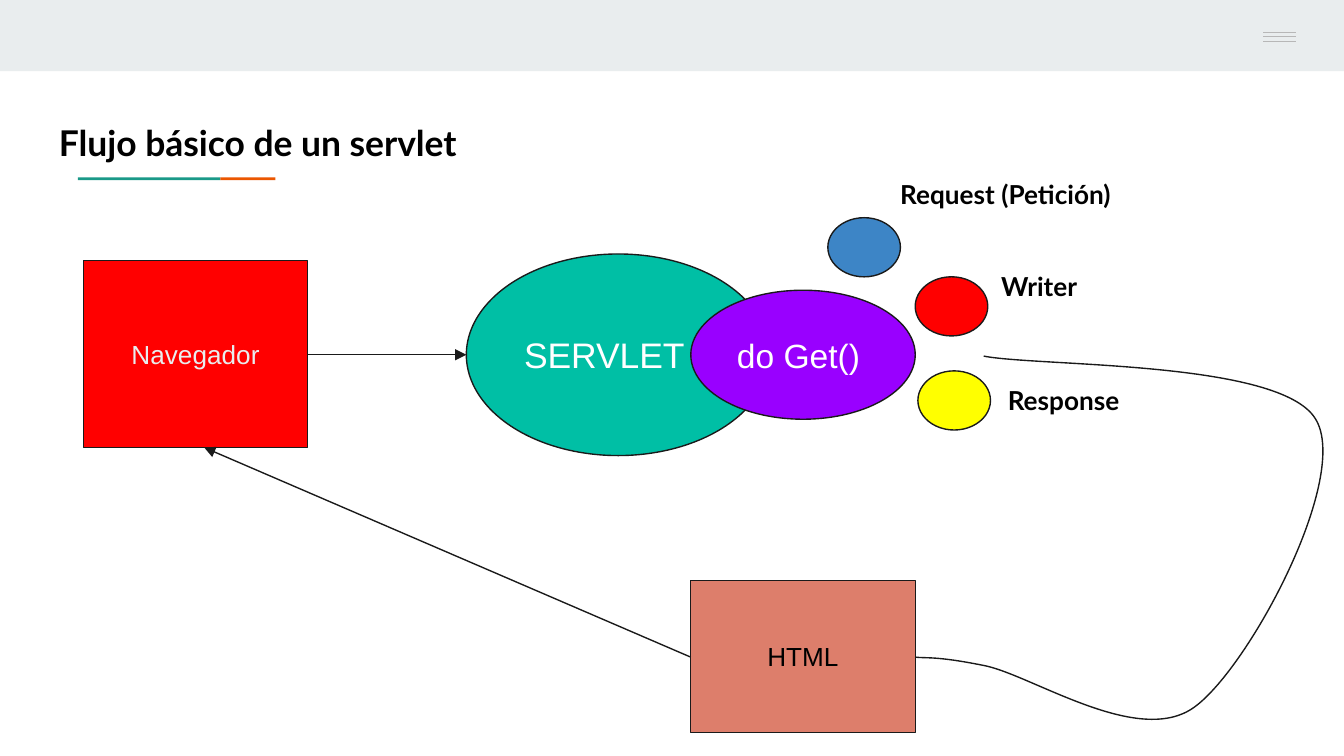
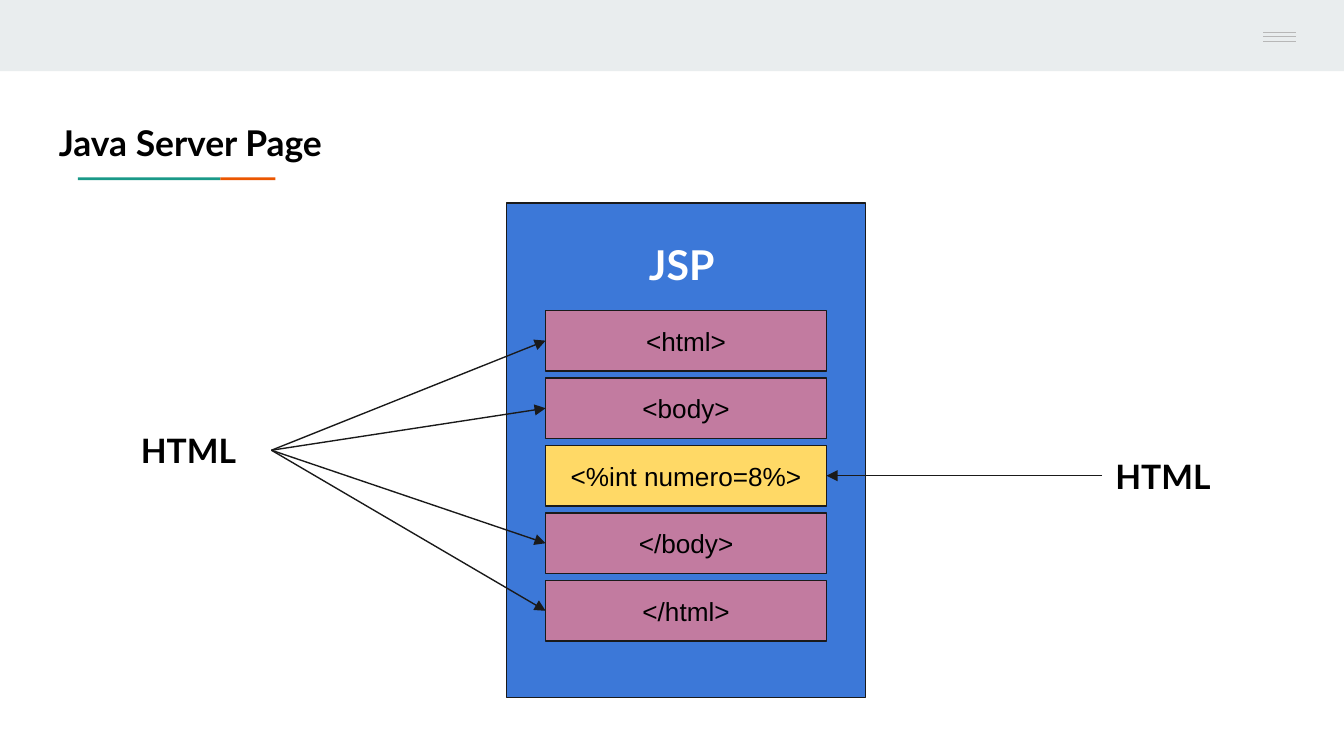
from dataclasses import dataclass

from lxml import etree
from pptx import Presentation
from pptx.dml.color import RGBColor
from pptx.enum.shapes import MSO_CONNECTOR, MSO_SHAPE
from pptx.enum.text import MSO_ANCHOR, MSO_AUTO_SIZE, PP_ALIGN
from pptx.oxml.ns import qn
from pptx.util import Inches, Pt

RECTANGLE = MSO_SHAPE.RECTANGLE
OVAL = MSO_SHAPE.OVAL
STRAIGHT = MSO_CONNECTOR.STRAIGHT
LEFT = PP_ALIGN.LEFT
CENTER = PP_ALIGN.CENTER
TOP = MSO_ANCHOR.TOP
MIDDLE = MSO_ANCHOR.MIDDLE
GROW = MSO_AUTO_SIZE.SHAPE_TO_FIT_TEXT


@dataclass(frozen=True)
class Theme:
    heading_font: str = "Lato"
    body_font: str = "Arial"
    title_size: int = 19
    panel_size: int = 22
    large_size: int = 18
    body_size: int = 14
    line_width: float = 0.75
    inset: float = 0.1
    black: str = "000000"
    white: str = "FFFFFF"
    outline: str = "1A1A1A"
    band: str = "E9EDEE"
    menu: str = "B7B7B7"
    teal: str = "1A9988"
    orange: str = "EB5600"
    red: str = "FF0000"
    green: str = "00BFA5"
    purple: str = "9900FF"
    salmon: str = "DD7E6B"
    yellow: str = "FFFF00"
    sky: str = "3D85C6"
    blue: str = "3C78D8"
    pink: str = "C27BA0"
    amber: str = "FFD966"


THEME = Theme()


def write_text(shape, text, *, size, font, color, bold=False, align=LEFT, anchor=TOP):
    frame = shape.text_frame
    frame.word_wrap = True
    frame.vertical_anchor = anchor
    frame.margin_left = frame.margin_right = Inches(THEME.inset)
    frame.margin_top = frame.margin_bottom = Inches(THEME.inset)
    paragraph = frame.paragraphs[0]
    paragraph.alignment = align
    run = paragraph.add_run()
    run.text = text
    run.font.name = font
    run.font.size = Pt(size)
    run.font.bold = bold
    run.font.color.rgb = RGBColor.from_string(color)


class Deck:
    """Holds the theme and the slide being drawn."""

    def __init__(self, theme):
        self.theme = theme
        self.presentation = Presentation()
        self.presentation.slide_width = Inches(10)
        self.presentation.slide_height = Inches(10 * 9 / 16)
        self.slide = None

    def new_slide(self, title, title_width):
        theme = self.theme
        layout = self.presentation.slide_layouts[6]
        self.slide = self.presentation.slides.add_slide(layout)
        self.shape((0, 0, 10, 0.53), theme.band, line=None)
        self.shape((9.06, 0, 0.94, 0.5), theme.band, line=None)
        self.shape((0.58, 1.32, 1.06, 0.02), theme.teal, line=None)
        self.shape((1.64, 1.32, 0.41, 0.02), theme.orange, line=None)
        for y in (0.24, 0.27, 0.31):
            self.line((9.4, y), (9.64, y), color=theme.menu, arrow=False)
        self.label(title, (0.34, 0.8, title_width, 0.52), size=theme.title_size)

    def shape(self, box, fill, kind=RECTANGLE, line=THEME.outline, text=None, **text_format):
        shape = self.slide.shapes.add_shape(kind, *map(Inches, box))
        shape.shadow.inherit = False
        shape.fill.solid()
        shape.fill.fore_color.rgb = RGBColor.from_string(fill)
        if line:
            self.outline(shape, line)
        else:
            shape.line.fill.background()
        if text:
            settings = {"size": self.theme.body_size, "font": self.theme.body_font,
                        "color": self.theme.black, "align": CENTER, "anchor": MIDDLE}
            write_text(shape, text, **(settings | text_format))

    def label(self, text, box, size=THEME.body_size, color=THEME.black):
        text_box = self.slide.shapes.add_textbox(*map(Inches, box))
        write_text(text_box, text, size=size, font=self.theme.heading_font,
                   color=color, bold=True)
        text_box.text_frame.auto_size = GROW

    def outline(self, shape, color):
        shape.line.color.rgb = RGBColor.from_string(color)
        shape.line.width = Pt(self.theme.line_width)

    def line(self, start, end, color=THEME.outline, arrow=True):
        connector = self.slide.shapes.add_connector(STRAIGHT, *map(Inches, start + end))
        self.outline(connector, color)
        if arrow:
            outline = connector.line._get_or_add_ln()
            etree.SubElement(outline, qn("a:tailEnd"), type="triangle")
        etree.SubElement(connector._element.spPr, qn("a:effectLst"))

    def curve(self, box, start, segments):
        """Draw an open curve; each segment is two control points and an end point."""
        left, top, width, height = map(Inches, box)
        builder = self.slide.shapes.build_freeform(left, top)
        builder.add_line_segments([(left + width, top + height)], close=False)
        shape = builder.convert_to_shape()
        shape.shadow.inherit = False
        shape.fill.background()
        self.outline(shape, self.theme.outline)

        path_element = shape._element.spPr.find(".//" + qn("a:path"))
        for child in list(path_element):
            path_element.remove(child)
        steps = [("a:moveTo", [start])] + [("a:cubicBezTo", points) for points in segments]
        for tag, points in steps:
            step = etree.SubElement(path_element, qn(tag))
            for x, y in points:
                etree.SubElement(step, qn("a:pt"),
                                 x=str(Inches(x) - left), y=str(Inches(y) - top))


def draw_servlet_flow(deck):
    theme = deck.theme
    deck.new_slide("Flujo básico de un servlet", 3.28)
    deck.shape((0.62, 1.94, 1.67, 1.39), theme.red, text="Navegador", color=theme.band)
    deck.shape((3.47, 1.89, 2.26, 1.5), theme.green, OVAL, text="SERVLET",
               size=theme.title_size, color=theme.white, align=LEFT)
    deck.shape((5.14, 2.16, 1.67, 0.96), theme.purple, OVAL, text="do Get()",
               size=theme.large_size, color=theme.white, align=LEFT)
    deck.shape((5.14, 4.32, 1.67, 1.13), theme.salmon, text="HTML")

    for left, top, color in ((6.83, 2.76, theme.yellow), (6.81, 2.06, theme.red),
                             (6.16, 1.62, theme.sky)):
        deck.shape((left, top, 0.54, 0.44), color, OVAL)
    for text, left, top, width in (("Request (Petición)", 6.6, 1.23, 1.96),
                                   ("Writer", 7.35, 1.91, 1.96),
                                   ("Response", 7.4, 2.76, 1.08)):
        deck.label(text, (left, top, width, 0.44))

    deck.line((2.29, 2.64), (3.47, 2.64))
    deck.curve((6.81, 2.65, 3.04, 2.7), (7.32, 2.65), [
        [(7.73, 2.73), (9.53, 2.68), (9.79, 3.12)],
        [(10.05, 3.55), (9.3, 4.96), (8.89, 5.26)],
        [(8.47, 5.57), (7.66, 5.01), (7.31, 4.95)],
        [(6.96, 4.88), (6.89, 4.9), (6.81, 4.89)],
    ])
    deck.line((5.14, 4.89), (1.52, 3.33))


def draw_server_page(deck):
    theme = deck.theme
    deck.new_slide("Java Server Page", 3.67)
    deck.shape((3.77, 1.51, 2.67, 3.68), theme.blue)
    deck.label("JSP", (4.73, 1.68, 0.75, 0.94), size=theme.panel_size, color=theme.white)
    deck.label("HTML", (0.95, 3.1, 1.07, 0.5), size=theme.large_size)
    deck.label("HTML", (8.2, 3.29, 1.07, 0.5), size=theme.large_size)

    code_lines = ("<html>", "<body>", "<%int numero=8%>", "</body>", "</html>")
    left, width, height = 4.06, 2.09, 0.45
    first_top, last_top = 2.31, 4.32
    pitch = (last_top - first_top) / (len(code_lines) - 1)
    for index, code in enumerate(code_lines):
        top = first_top + index * pitch
        middle = top + height / 2
        is_script = code.startswith("<%")
        deck.shape((left, top, width, height),
                   theme.amber if is_script else theme.pink, text=code)
        if is_script:
            deck.line((8.2, middle), (left + width, middle))
        else:
            deck.line((2.02, 3.35), (left, middle))


def main():
    deck = Deck(THEME)
    draw_servlet_flow(deck)
    draw_server_page(deck)
    deck.presentation.save("out.pptx")


if __name__ == "__main__":
    main()
